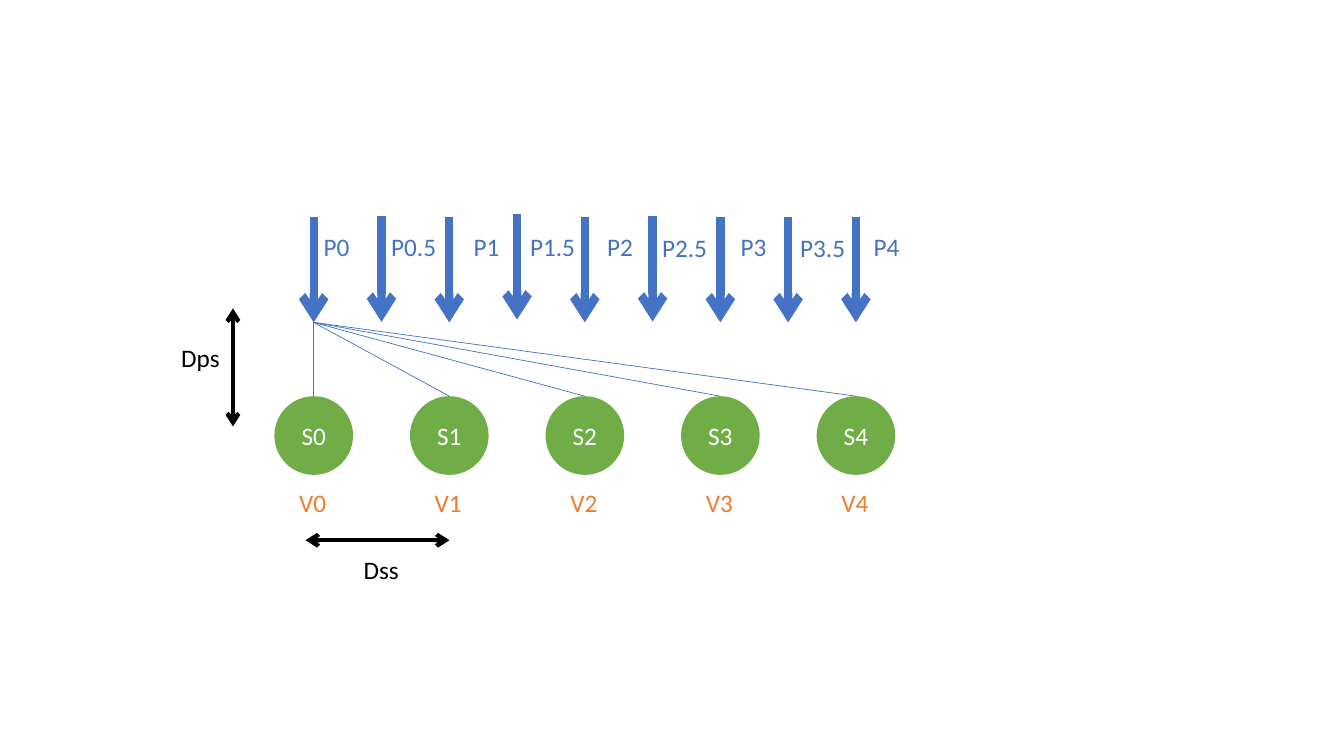
"""Build a slide of pulses P above a row of sensors S with their spacings."""
from dataclasses import dataclass

from lxml.etree import SubElement
from pptx import Presentation
from pptx.dml.color import RGBColor
from pptx.enum.shapes import MSO_CONNECTOR, MSO_SHAPE
from pptx.enum.text import MSO_ANCHOR, MSO_AUTO_SIZE, PP_ALIGN
from pptx.oxml.ns import qn
from pptx.util import Pt


@dataclass(frozen=True)
class Theme:
    font: str = "Calibri"
    size: float = 18
    pulse: str = "4472C4"
    sensor: str = "70AD47"
    voltage: str = "ED7D31"
    distance: str = "000000"
    light: str = "FFFFFF"
    pulse_width: float = 6
    distance_width: float = 3
    path_width: float = 0.5


THEME = Theme()
SENSORS = [("S0", "V0"), ("S1", "V1"), ("S2", "V2"), ("S3", "V3"), ("S4", "V4")]
# Each pulse: label, label left, label top, arrow top
PULSES = [
    ("P0", 224, 161.5, 154.8),
    ("P0.5", 272.3, 161.5, 154.4),
    ("P1", 331.2, 161.5, 154.8),
    ("P1.5", 371.5, 161.5, 152.8),
    ("P2", 426.5, 161.5, 154.8),
    ("P2.5", 465.8, 162.5, 154.2),
    ("P3", 522, 161.5, 154.8),
    ("P3.5", 564.5, 162.5, 154.8),
    ("P4", 617, 161.5, 154.8),
]
# Each distance: label, label left and top, arrow start, arrow end
DISTANCES = [
    ("Dps", (122.4, 241.2), (166.4, 220.3), (166.4, 304.6)),
    ("Dss", (252.7, 392.4), (218.2, 385.9), (321.1, 385.9)),
]

FIRST_X, PITCH = 224.1, 96.82
PULSE_LENGTH, PULSE_TIP = 75.5, 230.3
SENSOR_TOP, DIAMETER = 283, 56.2
VOLTAGE_TOP, VOLTAGE_SHIFT = 344.2, -17.5
LABEL_HEIGHT, LABEL_WIDTHS = 29, {2: 35.3, 3: 44, 4: 47.2}


def write(shape, text, color, align=PP_ALIGN.LEFT, anchor=MSO_ANCHOR.TOP):
    frame = shape.text_frame
    frame.vertical_anchor = anchor
    paragraph = frame.paragraphs[0]
    paragraph.alignment = align
    run = paragraph.add_run()
    run.text = text
    run.font.name = THEME.font
    run.font.size = Pt(THEME.size)
    run.font.color.rgb = RGBColor.from_string(color)


def add_label(parent, text, left, top, color):
    label = parent.add_textbox(Pt(left), Pt(top), Pt(LABEL_WIDTHS[len(text)]), Pt(LABEL_HEIGHT))
    label.text_frame.word_wrap = False
    label.text_frame.auto_size = MSO_AUTO_SIZE.SHAPE_TO_FIT_TEXT
    write(label, text, color)


def add_line(parent, start, end, color, width, arrow_ends=()):
    line = parent.add_connector(MSO_CONNECTOR.STRAIGHT, *(Pt(value) for value in (*start, *end)))
    line.line.color.rgb = RGBColor.from_string(color)
    line.line.width = Pt(width)
    properties = line._element.spPr
    for arrow_end in arrow_ends:
        SubElement(properties.find(qn("a:ln")), qn(f"a:{arrow_end}"), type="arrow")
    SubElement(properties, qn("a:effectLst"))


def add_sensor(parent, text, center):
    sensor = parent.add_shape(
        MSO_SHAPE.OVAL, Pt(center - DIAMETER / 2), Pt(SENSOR_TOP), Pt(DIAMETER), Pt(DIAMETER)
    )
    sensor.shadow.inherit = False
    sensor.fill.solid()
    sensor.fill.fore_color.rgb = RGBColor.from_string(THEME.sensor)
    sensor.line.fill.background()
    write(sensor, text, THEME.light, align=PP_ALIGN.CENTER, anchor=MSO_ANCHOR.MIDDLE)


presentation = Presentation()
presentation.slide_width, presentation.slide_height = Pt(960), Pt(540)
slide = presentation.slides.add_slide(presentation.slide_layouts[6])
canvas = slide.shapes

for index, (sensor_name, voltage) in enumerate(SENSORS):
    center = FIRST_X + index * PITCH
    add_sensor(canvas, sensor_name, center)
    add_label(canvas, voltage, center + VOLTAGE_SHIFT, VOLTAGE_TOP, THEME.voltage)
    add_line(canvas, (FIRST_X, PULSE_TIP), (center, SENSOR_TOP), THEME.pulse, THEME.path_width)

for index, (pulse, left, label_top, top) in enumerate(PULSES):
    x = FIRST_X + index * PITCH / 2
    add_line(canvas, (x, top), (x, top + PULSE_LENGTH), THEME.pulse, THEME.pulse_width, ["tailEnd"])
    add_label(canvas, pulse, left, label_top, THEME.pulse)

for distance, label_at, start, end in DISTANCES:
    group = canvas.add_group_shape().shapes
    add_line(group, start, end, THEME.distance, THEME.distance_width, ["headEnd", "tailEnd"])
    add_label(group, distance, *label_at, THEME.distance)

presentation.save("out.pptx")
